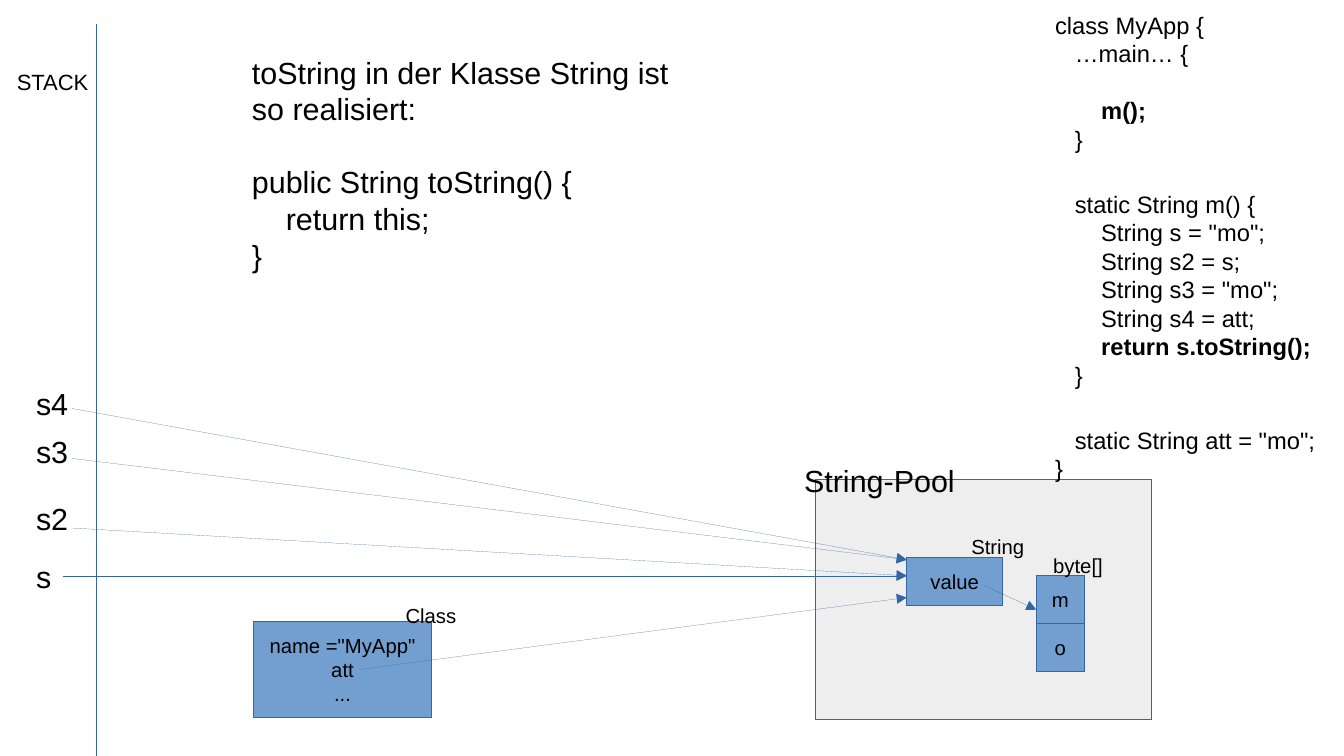
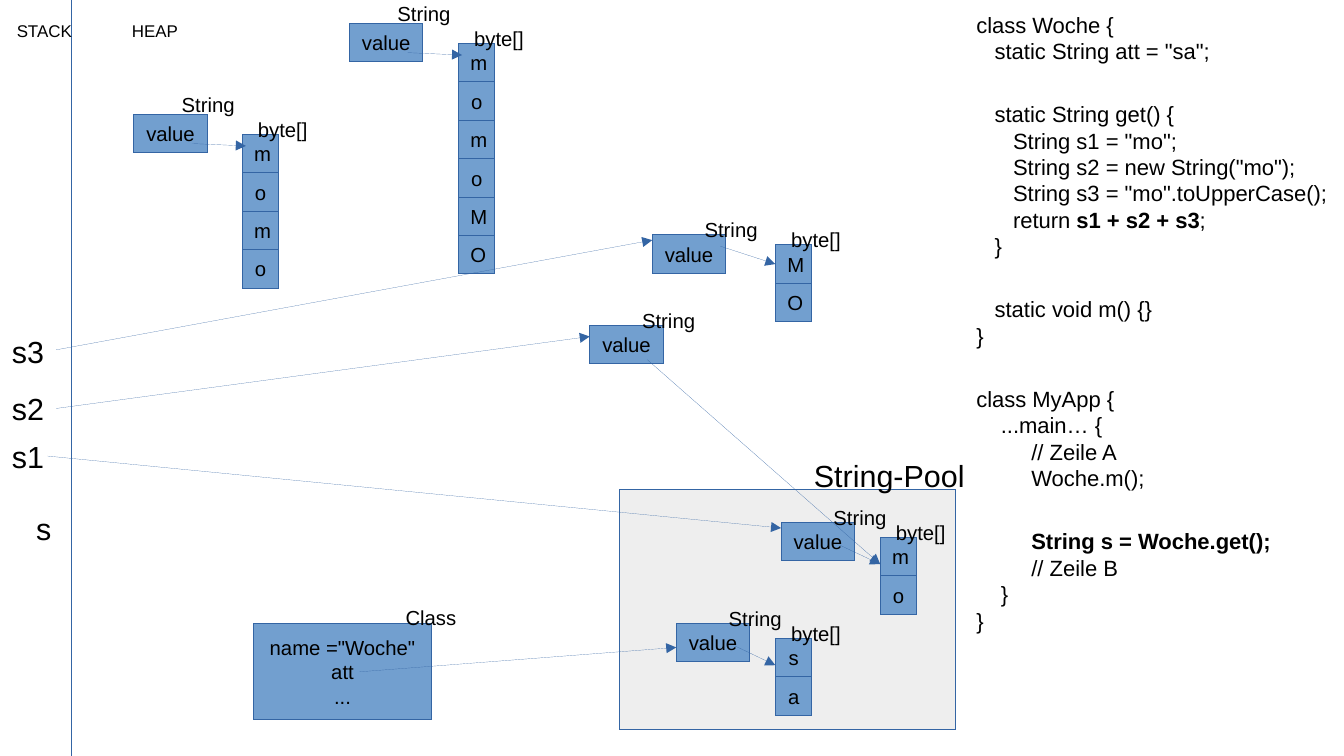
from lxml.etree import SubElement
from pptx import Presentation
from pptx.dml.color import RGBColor
from pptx.enum.shapes import MSO_CONNECTOR as Connector, MSO_SHAPE as Shape
from pptx.enum.text import MSO_ANCHOR as Anchor, MSO_AUTO_SIZE as AutoSize, PP_ALIGN as Align
from pptx.oxml.ns import qn
from pptx.util import Pt


def color(value):
    return RGBColor.from_string(value)


class MemoryDiagram:
    FONT = "Arial"
    INK, LINE, BOX, POOL = "000000", "3465A4", "729FCF", "EEEEEE"
    HAIRLINE = 0.01
    SPACE = 0.278
    BLANK = 21.6

    def __init__(self):
        self.deck = Presentation()
        self.deck.slide_width, self.deck.slide_height = Pt(793.7), Pt(446.4)
        self.slide = None

    def new_slide(self, value_size, cell_size, string_offset, array_offset):
        self.slide = self.deck.slides.add_slide(self.deck.slide_layouts[6])
        self.value_size, self.cell_size = value_size, cell_size
        self.string_offset, self.array_offset = string_offset, array_offset

    def style(self, paragraph, size):
        for run in paragraph.runs:
            run.font.name = self.FONT
            run.font.size = Pt(size)
            run.font.color.rgb = color(self.INK)

    def text_frame(self, x, y, width, height):
        frame = self.slide.shapes.add_textbox(Pt(x), Pt(y), Pt(width), Pt(height)).text_frame
        frame.word_wrap = False
        frame.auto_size = AutoSize.SHAPE_TO_FIT_TEXT
        return frame

    def label(self, text, x, y, width=49, height=20.9, size=12):
        frame = self.text_frame(x, y, width, height)
        frame.text = text
        self.style(frame.paragraphs[0], size)

    def variable(self, name, x, y):
        self.label(name, x, y, 26 if len(name) == 1 else 36, 27.4, 18)

    def code(self, lines, x, y, width, height, size):
        frame = self.text_frame(x, y, width, height)
        for number, (indent, text, *gap) in enumerate(lines):
            paragraph = frame.add_paragraph() if number else frame.paragraphs[0]
            for part_number, part in enumerate(text.split("**")):
                if part:
                    run = paragraph.add_run()
                    run.text = part
                    run.font.bold = part_number % 2 == 1
            self.style(paragraph, size)
            paragraph.space_before = Pt(gap[0] if gap else 0)
            properties = paragraph._p.get_or_add_pPr()
            properties.set("marL", str(Pt(indent * self.SPACE * size)))
            properties.set("indent", "0")

    def box(self, text, x, y, width, height, fill=BOX):
        rect = self.slide.shapes.add_shape(Shape.RECTANGLE, Pt(x), Pt(y), Pt(width), Pt(height))
        rect.shadow.inherit = False
        rect.fill.solid()
        rect.fill.fore_color.rgb = color(fill)
        rect.line.color.rgb = color(self.LINE)
        rect.line.width = Pt(self.HAIRLINE)
        frame = rect.text_frame
        frame.word_wrap = True
        frame.vertical_anchor = Anchor.MIDDLE
        frame.text = text
        for paragraph in frame.paragraphs:
            paragraph.alignment = Align.CENTER
            self.style(paragraph, 12)
        return rect

    def line(self, x1, y1, x2, y2):
        connector = self.slide.shapes.add_connector(
            Connector.STRAIGHT, Pt(x1), Pt(y1), Pt(x2), Pt(y2))
        connector.line.color.rgb = color(self.LINE)
        connector.line.width = Pt(self.HAIRLINE)
        SubElement(connector._element.spPr, qn("a:effectLst"))
        return connector

    def arrow(self, x1, y1, x2, y2):
        connector = self.line(x1, y1, x2, y2)
        SubElement(connector.line._get_or_add_ln(), qn("a:tailEnd"), type="triangle")
        return connector

    def pool(self, x, y, label_x, label_y):
        self.box("", x, y, 198.4, 141.7, self.POOL)
        self.label("String-Pool", label_x, label_y, 108, 27.4, 18)

    def string(self, x, y, offset=None):
        dx, dy = offset or self.string_offset
        self.box("value", x, y, *self.value_size)
        self.label("String", x + dx, y + dy)

    def array(self, characters, x, y):
        width, height = self.cell_size
        cells = [self.box(character, x, y + row * height, width, height)
                 for row, character in enumerate(characters)]
        dx, dy = self.array_offset
        self.label("byte[]", x + dx, y + dy)
        return cells[0]

    def class_object(self, name, y):
        self.box(f'name ="{name}"\natt\n...', 149.6, y, 105.4, 56.7)
        self.label("Class", 232.4, y - 14.4)


def pool_slide(d):
    d.new_slide((56.7, 28.35), (28.35, 28.35), (31, -17.3), (2.9, -16.8))
    d.pool(481.5, 283.3, 467.8, 269.2)
    d.code([
        (0, "class MyApp {"),
        (3, "…main… {"),
        (7, "**m();**", 16.8),
        (3, "}"),
        (3, "static String m() {", d.BLANK),
        (7, 'String s = "mo";'),
        (7, "String s2 = s;"),
        (7, 'String s3 = "mo";'),
        (7, "String s4 = att;"),
        (7, "**return s.toString();**"),
        (3, "}"),
        (3, 'static String att = "mo";', d.BLANK),
        (0, "}"),
    ], 616, 2.8, 174, 267.8, 14)
    d.string(535.5, 329)
    d.array("mo", 612, 340)
    d.arrow(581, 345.6, 612, 360)
    d.line(56.7, 14.2, 56.7, 446.4)
    d.label("STACK", 2.8, 36.7, 62, 21.6, 13)
    for name, y, start, end in (
            ("s", 326.2, (37.4, 340), 340),
            ("s2", 292, (42.5, 311.8), 340),
            ("s3", 252, (42.5, 270.7), 330.5),
            ("s4", 223.9, (42.5, 241.2), 330.5)):
        d.variable(name, 14.2, y)
        d.arrow(*start, 535.5, end)
    d.class_object("MyApp", 367)
    d.arrow(212.4, 395.3, 535.5, 352.8)
    d.code([
        (0, "toString in der Klasse String ist"),
        (0, "so realisiert:"),
        (0, "public String toString() {", d.BLANK),
        (4, "return this;"),
        (0, "}"),
    ], 141.7, 28.2, 266, 128.2, 18)


def heap_slide(d):
    d.new_slide((43.4, 22.7), (21.6, 22.7), (23.8, -13.7), (2.2, -13.7))
    d.pool(365.6, 289.2, 473.6, 266.4)
    d.code([
        (0, "class Woche {"),
        (3, 'static String att = "sa";'),
        (3, "static String get() {", d.BLANK),
        (6, 'String s1 = "mo";'),
        (6, 'String s2 = new String("mo");'),
        (6, 'String s3 = "mo".toUpperCase();'),
        (6, "return **s1 + s2 + s3**;"),
        (3, "}"),
        (3, "static void m() {}", d.BLANK),
        (0, "}"),
        (0, "class MyApp {", d.BLANK),
        (4, "...main… {"),
        (9, "// Zeile A"),
        (9, "Woche.m();"),
        (9, "**String s = Woche.get();**", d.BLANK),
        (9, "// Zeile B"),
        (4, "}"),
        (0, "}"),
    ], 569.5, 3, 224, 349.2, 13)
    d.line(42.5, 0, 42.5, 446.4)
    for region, x in (("STACK", 2.8), ("HEAP", 70.8)):
        d.label(region, x, 8.6, 56.2, 21.6, 10)

    for characters, x, y, array_x, array_y in (
            ("sa", 399.4, 367.9, 457.9, 377),
            ("mo", 461.3, 308.4, 519.8, 317.3)):
        d.string(x, y)
        d.array(characters, array_x, array_y)
        d.arrow(x + 34.6, y + 13.5, array_x, array_y + 15.8)
    for characters, x, y, array_x, array_y in (
            ("momo", 79, 67.5, 143, 79.3),
            ("momoMO", 206.4, 13.8, 270.7, 25.6)):
        d.string(x, y, (21.2, -16.6))
        d.array(characters, array_x, array_y)
        d.arrow(x + 34.4, y + 17.3, array_x + 2.2, array_y + 6.9)

    d.string(348.3, 192.2)
    d.arrow(382.3, 212.4, 519.8, 333.1)
    d.string(385.2, 138.6)
    upper_m = d.array("MO", 457.9, 144.6)
    d.arrow(425.5, 145.4, 457.9, 156).end_connect(upper_m, 1)

    d.class_object("Woche", 368.4)
    d.arrow(212.4, 396.7, 399.4, 382.3)
    d.variable("s", 14.2, 297.4)
    for name, y, arrow in (
            ("s1", 254.9, (28.1, 269.3, 461.3, 311.8)),
            ("s2", 226.8, (33.1, 241.2, 348.3, 198.7)),
            ("s3", 192.8, (33.1, 206.6, 385.2, 141.8))):
        d.variable(name, 0, y)
        d.arrow(*arrow)


def main():
    diagram = MemoryDiagram()
    pool_slide(diagram)
    heap_slide(diagram)
    diagram.deck.save("out.pptx")


if __name__ == "__main__":
    main()
